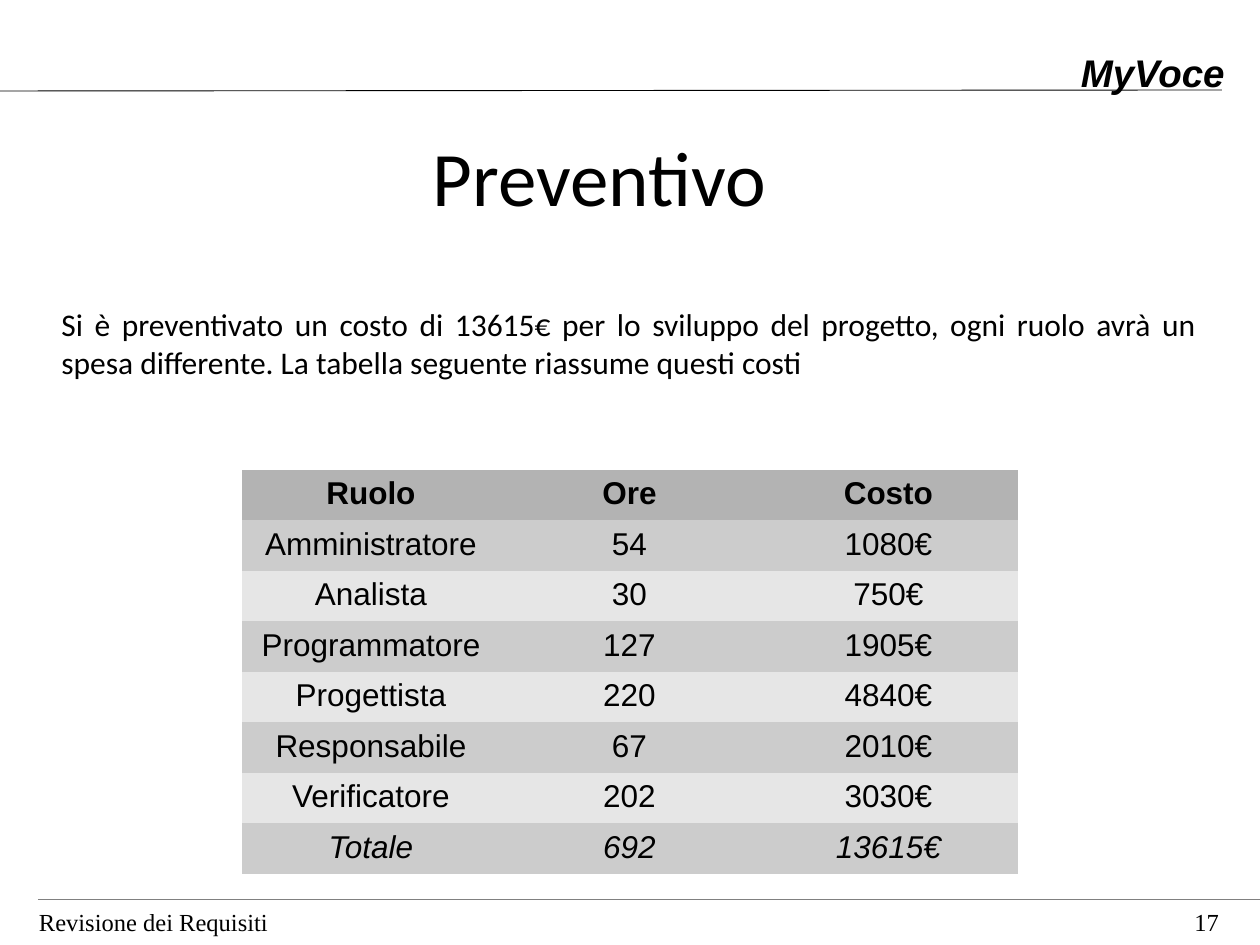
from dataclasses import dataclass

from lxml.etree import SubElement
from pptx import Presentation
from pptx.dml.color import RGBColor
from pptx.enum.shapes import MSO_CONNECTOR
from pptx.enum.text import MSO_ANCHOR, PP_ALIGN
from pptx.oxml.ns import qn
from pptx.util import Emu, Pt

PIXELS_PER_INCH = 126
PLAIN_TABLE_STYLE = "{2D5ABB26-0587-4C30-8999-92F81FD0307C}"


def px(length):
    return Emu(round(length * 914400 / PIXELS_PER_INCH))


@dataclass(frozen=True)
class Theme:
    ink: str = "000000"
    footer_rule: str = "808080"
    header_fill: str = "B3B3B3"
    band_fills: tuple = ("CCCCCC", "E6E6E6")
    sans: str = "Arial"
    body: str = "Calibri"
    serif: str = "Times New Roman"
    title_size: int = 44
    project_size: int = 22
    text_size: int = 18
    footer_size: int = 14
    rule_width: float = 0.5


class SlideBuilder:
    """Draws styled elements on the current slide."""

    def __init__(self, slide, theme):
        self.slide = slide
        self.theme = theme

    def format(self, para, font, size, align, bold=False, italic=False):
        para.alignment = align
        for span in para.runs:
            span.font.name = font
            span.font.size = Pt(size)
            span.font.bold = bold
            span.font.italic = italic
            span.font.color.rgb = RGBColor.from_string(self.theme.ink)

    def line(self, start, end, color):
        connector = self.slide.shapes.add_connector(
            MSO_CONNECTOR.STRAIGHT, *map(px, start + end))
        connector.line.color.rgb = RGBColor.from_string(color)
        connector.line.width = Pt(self.theme.rule_width)
        SubElement(connector._element.spPr, qn("a:effectLst"))

    def text(self, text, bounds, font, size, align=PP_ALIGN.LEFT,
             inset=True, anchor=MSO_ANCHOR.TOP, **emphasis):
        box = self.slide.shapes.add_textbox(*map(px, bounds))
        frame = box.text_frame
        frame.text = text
        frame.word_wrap = True
        frame.vertical_anchor = anchor
        if not inset:
            frame.margin_left = frame.margin_right = 0
            frame.margin_top = frame.margin_bottom = 0
        self.format(frame.paragraphs[0], font, size, align, **emphasis)

    def table(self, rows, left, top, column_widths, row_height):
        frame = self.slide.shapes.add_table(
            len(rows), len(column_widths), px(left), px(top),
            px(sum(column_widths)), px(row_height * len(rows)))
        table = frame.table
        table.first_row = table.horz_banding = False
        table._tbl.tblPr.find(qn("a:tableStyleId")).text = PLAIN_TABLE_STYLE
        for column, width in zip(table.columns, column_widths):
            column.width = px(width)
        for index, values in enumerate(rows):
            table.rows[index].height = px(row_height)
            is_header = index == 0
            is_total = index == len(rows) - 1
            fill = (self.theme.header_fill if is_header
                    else self.theme.band_fills[(index - 1) % 2])
            for cell, value in zip(table.rows[index].cells, values):
                cell.text_frame.text = value
                cell.fill.solid()
                cell.fill.fore_color.rgb = RGBColor.from_string(fill)
                self.format(cell.text_frame.paragraphs[0], self.theme.sans,
                            self.theme.text_size, PP_ALIGN.CENTER,
                            bold=is_header, italic=is_total)


COSTS = [
    ("Ruolo", "Ore", "Costo"),
    ("Amministratore", "54", "1080€"),
    ("Analista", "30", "750€"),
    ("Programmatore", "127", "1905€"),
    ("Progettista", "220", "4840€"),
    ("Responsabile", "67", "2010€"),
    ("Verificatore", "202", "3030€"),
    ("Totale", "692", "13615€"),
]


def main():
    theme = Theme()
    deck = Presentation()
    deck.slide_width, deck.slide_height = px(1260), px(945)
    page = SlideBuilder(deck.slides.add_slide(deck.slide_layouts[6]), theme)

    page.line((38, 899), (1260, 899), theme.footer_rule)
    page.line((0, 91), (1222, 90), theme.ink)
    page.text("MyVoce", (1067, 43, 170, 55), theme.sans, theme.project_size,
              PP_ALIGN.RIGHT, bold=True, italic=True)
    page.text("Preventivo", (64, 118, 1071, 115), theme.body,
              theme.title_size, PP_ALIGN.CENTER, anchor=MSO_ANCHOR.MIDDLE)
    page.text("Si è preventivato un costo di 13615€ per lo sviluppo del "
              "progetto, ogni ruolo avrà un spesa differente. La tabella "
              "seguente riassume questi costi",
              (49, 299, 1160, 88), theme.body, theme.text_size,
              PP_ALIGN.JUSTIFY)
    page.table(COSTS, 242, 470, (258, 259, 259), 50)
    page.text("Revisione dei Requisiti", (39, 907, 326, 38), theme.serif,
              theme.footer_size, inset=False)
    page.text("17", (903, 907, 316, 38), theme.serif, theme.footer_size,
              PP_ALIGN.RIGHT, inset=False)
    deck.save("out.pptx")


if __name__ == "__main__":
    main()
